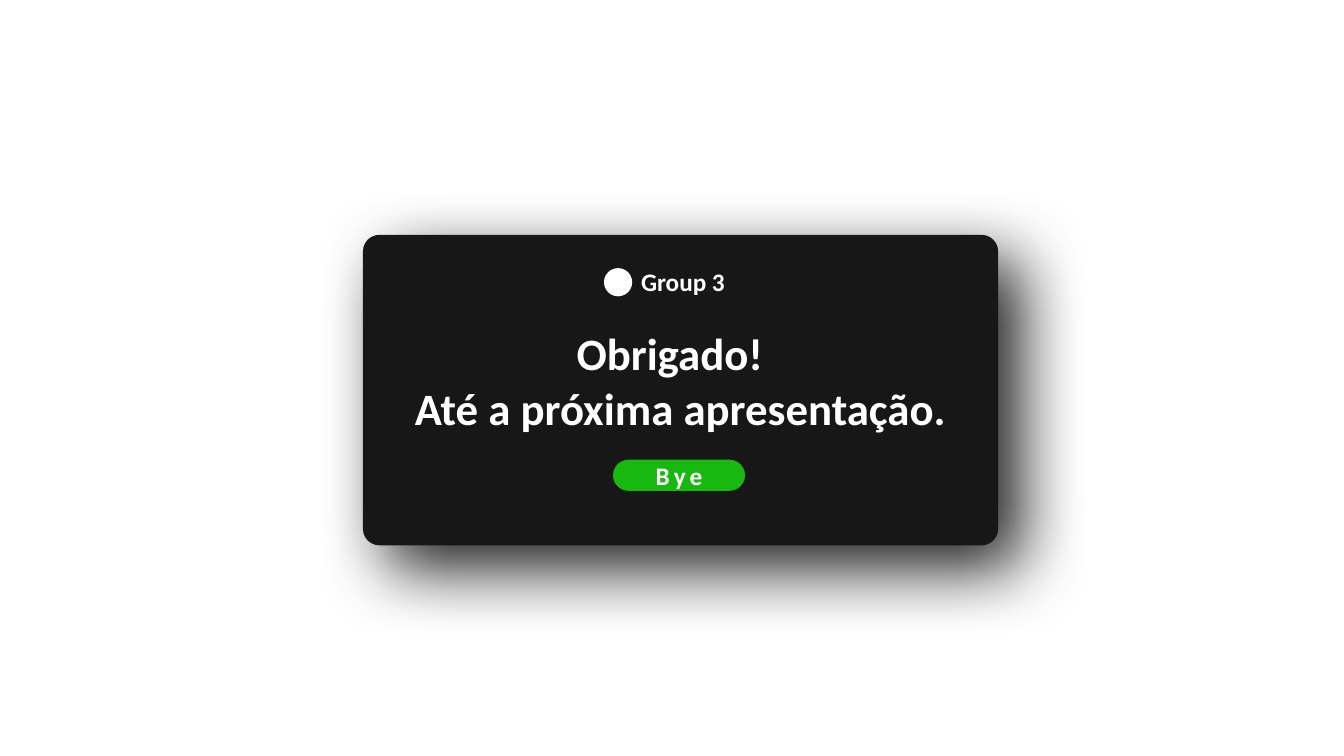
import pptx
import pptx.dml.color
import pptx.enum.shapes
import pptx.enum.text
import pptx.oxml
import pptx.oxml.ns
import pptx.util
from pptx.util import Inches

COLORS = {"card": "181717", "white": "FFFFFF", "button": "18B810", "shadow": "000000"}
SHAPE = pptx.enum.shapes.MSO_SHAPE
ALIGN = pptx.enum.text.PP_ALIGN

# left, top, width, height in inches
CARD = (3.6, 2.33, 6.3, 3.08)
BADGE = (5.99, 2.66, 0.28, 0.28)
BUTTON = (6.08, 4.56, 1.31, 0.31)
# text, box, size in points, alignment, wrap
TEXTS = [
    ("Group 3", (6.26, 2.59, 1.04, 0.4), 18, ALIGN.LEFT, False),
    ("Obrigado!", (5.62, 3.18, 2.07, 0.64), 32, ALIGN.LEFT, False),
    ("Até a próxima apresentação.", (3.6, 3.73, 6.3, 0.64), 32, ALIGN.CENTER, True),
]
BUTTON_TEXT = "Bye"
SHADOW = {"opacity": 87, "blur": 50, "distance": 24, "angle": 45}


def write(shape, text, size, alignment):
    paragraph = shape.text_frame.paragraphs[0]
    paragraph.text = text
    paragraph.alignment = alignment
    font = paragraph.font
    font.name, font.size, font.bold = "Calibri", pptx.util.Pt(size), True
    font.color.rgb = pptx.dml.color.RGBColor.from_string(COLORS["white"])
    return paragraph


def add_filled(slide, kind, box, color):
    shape = slide.shapes.add_shape(kind, *map(Inches, box))
    shape.shadow.inherit = False
    shape.fill.solid()
    shape.fill.fore_color.rgb = pptx.dml.color.RGBColor.from_string(COLORS[color])
    shape.line.fill.background()
    return shape


def add_soft_shadow(shape):
    effects = shape._element.spPr.find(pptx.oxml.ns.qn("a:effectLst"))
    effects.append(pptx.oxml.parse_xml(
        f'<a:outerShdw {pptx.oxml.ns.nsdecls("a")} blurRad="{pptx.util.Pt(SHADOW["blur"])}" '
        f'dist="{pptx.util.Pt(SHADOW["distance"])}" dir="{SHADOW["angle"] * 60000}" '
        f'algn="tl" rotWithShape="0"><a:srgbClr val="{COLORS["shadow"]}">'
        f'<a:alpha val="{SHADOW["opacity"] * 1000}"/></a:srgbClr></a:outerShdw>'))


def main():
    presentation = pptx.Presentation()
    presentation.slide_width, presentation.slide_height = Inches(13.33), Inches(7.5)
    slide = presentation.slides.add_slide(presentation.slide_layouts[6])

    card = add_filled(slide, SHAPE.ROUNDED_RECTANGLE, CARD, "card")
    card.adjustments[0] = 0.053
    add_soft_shadow(card)
    add_filled(slide, SHAPE.OVAL, BADGE, "white")

    for text, box, size, alignment, wrap in TEXTS:
        label = slide.shapes.add_textbox(*map(Inches, box))
        label.text_frame.word_wrap = wrap
        label.text_frame.auto_size = pptx.enum.text.MSO_AUTO_SIZE.SHAPE_TO_FIT_TEXT
        write(label, text, size, alignment)

    button = add_filled(slide, SHAPE.ROUNDED_RECTANGLE, BUTTON, "button")
    button.adjustments[0] = 0.5
    button.text_frame.vertical_anchor = pptx.enum.text.MSO_ANCHOR.MIDDLE
    paragraph = write(button, BUTTON_TEXT, 18, ALIGN.CENTER)
    paragraph.runs[0].font._element.set("spc", "300")

    presentation.save("out.pptx")


if __name__ == "__main__":
    main()
